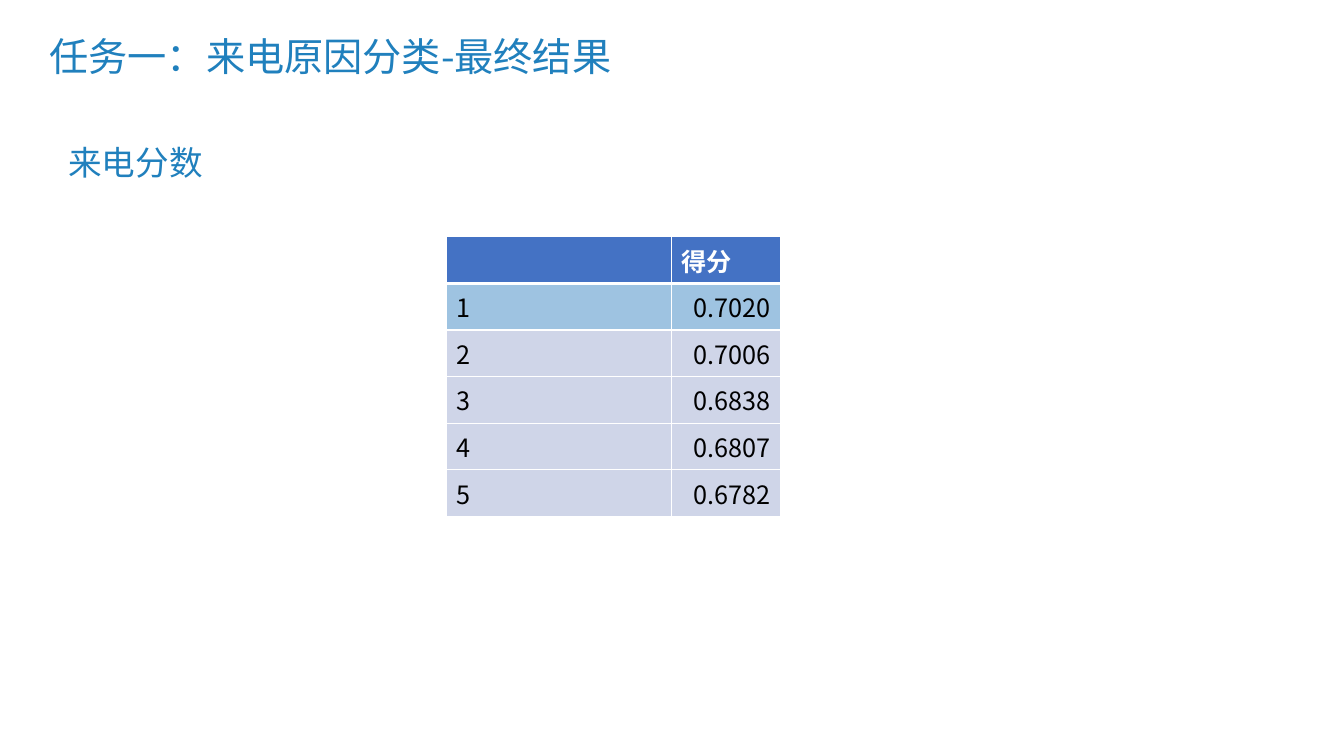
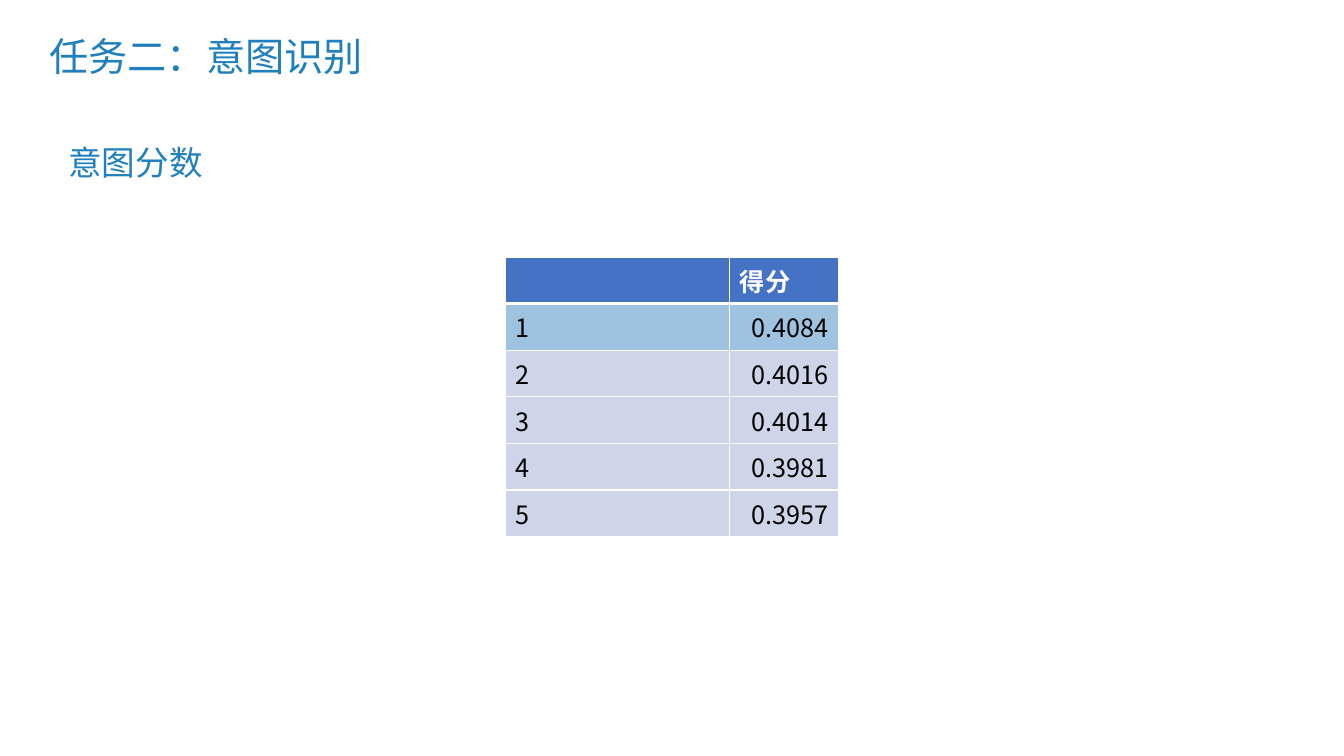
from dataclasses import dataclass

from lxml.etree import SubElement
from pptx import Presentation
from pptx.dml.color import RGBColor
from pptx.enum.text import MSO_ANCHOR, MSO_AUTO_SIZE, PP_ALIGN
from pptx.oxml.ns import qn
from pptx.util import Inches, Pt


@dataclass(frozen=True)
class Theme:
    font: str = "Noto Sans CJK SC"
    accent: str = "2080BD"
    header: str = "4472C4"
    best: str = "9EC3E1"
    row: str = "CFD5E8"
    white: str = "FFFFFF"
    black: str = "000000"
    title_size: int = 28
    subtitle_size: int = 24
    table_size: int = 18
    rule: int = 1
    header_rule: int = 3


THEME = Theme()
WIDTH, HEIGHT = Inches(13.33), Inches(7.5)

# Boxes: left, top, width, height in percent of the slide
TITLE_BOX = (2.93, 3.87, 86.27, 7.87)
SUBTITLE_BOX = (4.35, 18.13, 11.63, 6.67)
TABLE_SIZE = (24.83, 28)
COLUMN_WEIGHTS = (2.23, 1.08)

SLIDES = [
    {"title": "任务一：来电原因分类-最终结果", "subtitle": "来电分数",
     "table_at": (33.23, 31.33),
     "scores": ("0.7020", "0.7006", "0.6838", "0.6807", "0.6782")},
    {"title": "任务二：意图识别", "subtitle": "意图分数",
     "table_at": (37.58, 34),
     "scores": ("0.4084", "0.4016", "0.4014", "0.3981", "0.3957")},
]


def to_emu(box):
    return [round(share * side / 100)
            for share, side in zip(box, (WIDTH, HEIGHT) * 2)]


def write(tf, text, size, color, bold=False, align=PP_ALIGN.LEFT):
    p = tf.paragraphs[0]
    p.alignment = align
    r = p.add_run()
    r.text = text
    formats = {"name": THEME.font, "size": Pt(size), "bold": bold}
    for name, value in formats.items():
        setattr(r.font, name, value)
    r.font.color.rgb = RGBColor.from_string(color)
    # East Asian typeface
    SubElement(r.font._element, qn("a:ea"), typeface=THEME.font)
    return p


def add_title(s, text, box):
    sp = s.shapes.title
    for name, value in zip(("left", "top", "width", "height"), to_emu(box)):
        setattr(sp, name, value)
    tf = sp.text_frame
    tf.vertical_anchor = MSO_ANCHOR.MIDDLE
    write(tf, text, THEME.title_size, THEME.accent).line_spacing = 0.9


def add_subtitle(s, text, box):
    tf = s.shapes.add_textbox(*to_emu(box)).text_frame
    tf.word_wrap = False
    tf.auto_size = MSO_AUTO_SIZE.SHAPE_TO_FIT_TEXT
    write(tf, text, THEME.subtitle_size, THEME.accent)


def style_cell(cell, fill, top, bottom):
    # Borders come before the fill in the cell properties
    tc_pr = cell._tc.get_or_add_tcPr()
    widths = {"lnL": THEME.rule, "lnR": THEME.rule, "lnT": top, "lnB": bottom}
    for tag, width in widths.items():
        ln = SubElement(tc_pr, qn(f"a:{tag}"), w=str(Pt(width)))
        SubElement(SubElement(ln, qn("a:solidFill")), qn("a:srgbClr"),
                   val=THEME.white)
    cell.fill.solid()
    cell.fill.fore_color.rgb = RGBColor.from_string(fill)


def add_score_table(s, scores, box):
    rows = [("", "得分")] + [(str(i), v) for i, v in enumerate(scores, 1)]
    left, top, width, height = to_emu(box)
    table = s.shapes.add_table(len(rows), len(COLUMN_WEIGHTS),
                               left, top, width, height).table
    for column, weight in zip(table.columns, COLUMN_WEIGHTS):
        column.width = round(width * weight / sum(COLUMN_WEIGHTS))

    fills = [THEME.header, THEME.best] + [THEME.row] * (len(rows) - 2)
    for i, (values, fill) in enumerate(zip(rows, fills)):
        head = i == 0
        for j, text in enumerate(values):
            cell = table.cell(i, j)
            style_cell(cell, fill,
                       top=THEME.header_rule if i == 1 else THEME.rule,
                       bottom=THEME.header_rule if head else THEME.rule)
            if text:
                write(cell.text_frame, text, THEME.table_size,
                      THEME.white if head else THEME.black, bold=head,
                      align=PP_ALIGN.RIGHT if j and not head
                      else PP_ALIGN.LEFT)


def add_result_slide(prs, title, subtitle, table_at, scores):
    s = prs.slides.add_slide(prs.slide_layouts.get_by_name("Title Only"))
    add_title(s, title, TITLE_BOX)
    add_score_table(s, scores, table_at + TABLE_SIZE)
    add_subtitle(s, subtitle, SUBTITLE_BOX)


def main():
    prs = Presentation()
    prs.slide_width, prs.slide_height = WIDTH, HEIGHT
    for content in SLIDES:
        add_result_slide(prs, **content)
    prs.save("out.pptx")


if __name__ == "__main__":
    main()
